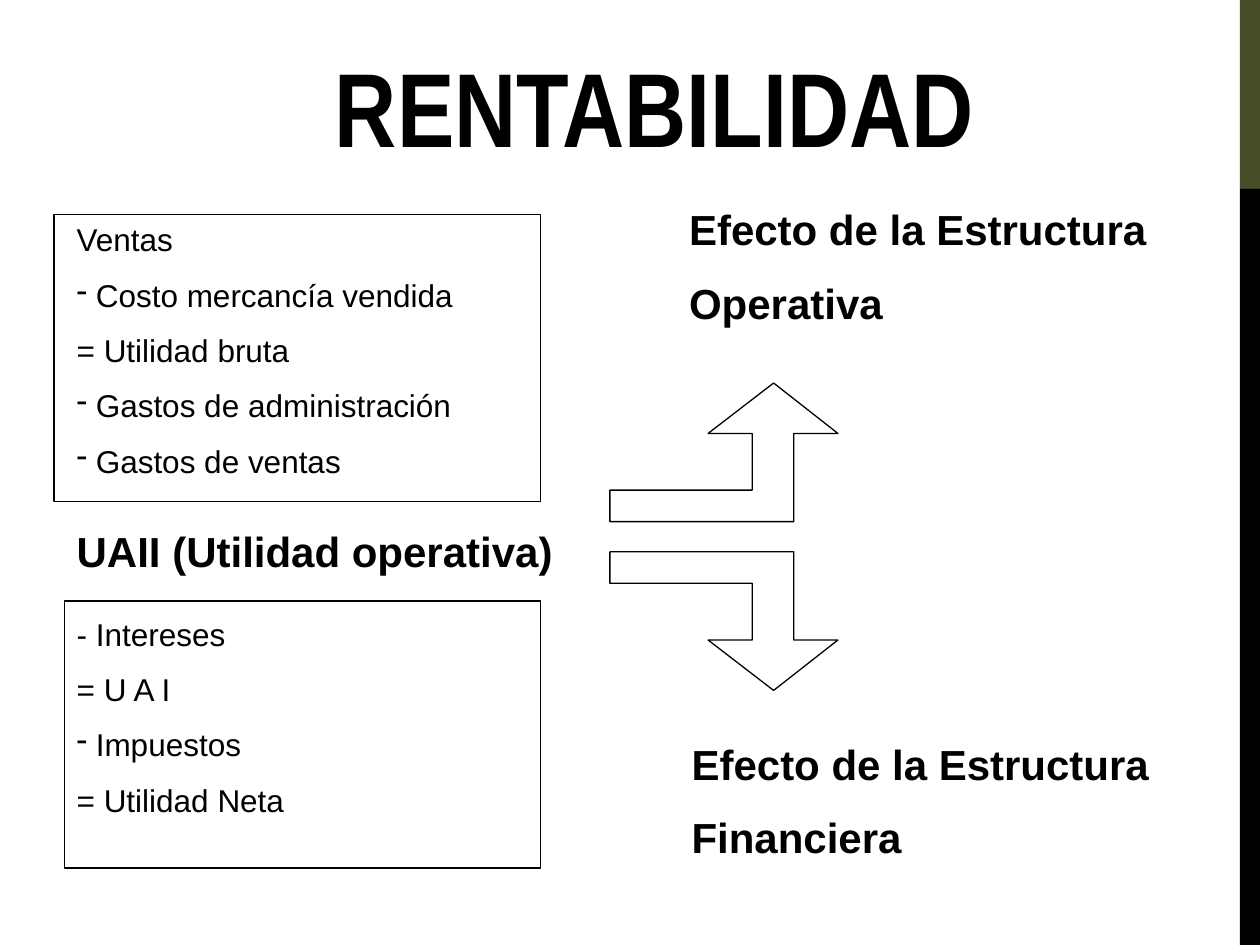
"""Build the profitability slide: income statement and its two structure effects."""
import pptx
import pptx.util
import pptx.dml.color
import pptx.enum.shapes
import pptx.enum.text
import pptx.oxml.ns
import lxml.etree

Inches, Pt = pptx.util.Inches, pptx.util.Pt
COLORS = {"ink": "000000", "paper": "FFFFFF", "olive": "444D26"}
BARS = [((9.84, 0, 0.16, 1.5), "olive"), ((9.84, 1.5, 0.16, 6), "ink")]
FRAMES = [(0.43, 1.7, 3.86, 2.28), (0.51, 4.77, 3.78, 2.12)]
BULLET = "• "
TEXTS = [
    ((0.51, 1.7, 3.39, 2.21),
     ["Ventas", BULLET + " Costo mercancía vendida", "= Utilidad bruta",
      BULLET + " Gastos de administración", BULLET + " Gastos de ventas"], {}),
    ((0.51, 4.12, 4.02, 0.5), ["UAII (Utilidad operativa)"], {"size": 24, "bold": True}),
    ((0.51, 4.83, 3.39, 1.76),
     ["- Intereses", "= U A I", BULLET + " Impuestos", "= Utilidad Neta"], {}),
    ((5.37, 1.57, 3.92, 1.1), ["Efecto de la Estructura", "Operativa"],
     {"size": 24, "bold": True, "wrap": False}),
    ((5.39, 5.81, 3.92, 1.1), ["Efecto de la Estructura", "Financiera"],
     {"size": 24, "bold": True, "wrap": False}),
    ((0.9, 0.21, 8.59, 1.25), ["RENTABILIDAD"],
     {"size": 60, "bold": True, "font": "Arial Narrow", "align": "CENTER", "anchor": "MIDDLE"}),
]
ARROW = [(6.14, 3.04), (5.62, 3.44), (5.97, 3.44), (5.97, 3.89), (4.84, 3.89),
         (4.84, 4.14), (6.3, 4.14), (6.3, 3.44), (6.65, 3.44)]
MIRROR = 4.26


def color(name):
    return pptx.dml.color.RGBColor.from_string(COLORS[name])


def paint(shape, fill=None, line=None):
    shape.shadow.inherit = False
    if fill:
        shape.fill.solid()
        shape.fill.fore_color.rgb = color(fill)
    else:
        shape.fill.background()
    if line:
        shape.line.color.rgb = color(line)
        shape.line.width = Pt(0.75)
    else:
        shape.line.fill.background()


def add_box(slide, place, **look):
    kind = pptx.enum.shapes.MSO_SHAPE.RECTANGLE
    paint(slide.shapes.add_shape(kind, *map(Inches, place)), **look)


def add_arrow(slide, points):
    points = [(Inches(x), Inches(y)) for x, y in points]
    path = slide.shapes.build_freeform(*points[0], scale=1.0)
    path.add_line_segments(points[1:], close=True)
    paint(path.convert_to_shape(), fill="paper", line="ink")


def add_text(slide, place, lines, size=18, bold=False, font="Arial",
             align="LEFT", anchor="TOP", wrap=True):
    frame = slide.shapes.add_textbox(*map(Inches, place)).text_frame
    frame.word_wrap = wrap
    frame.vertical_anchor = pptx.enum.text.MSO_ANCHOR[anchor]
    for i, line in enumerate(lines):
        para = frame.paragraphs[0] if i == 0 else frame.add_paragraph()
        para.alignment = pptx.enum.text.PP_ALIGN[align]
        if i:
            para.space_before = Pt(round(size * 0.55))
        if line.startswith(BULLET):
            props = para._p.get_or_add_pPr()
            props.set("marL", "0")
            props.set("indent", "0")
            mark = lxml.etree.SubElement(props, pptx.oxml.ns.qn("a:buChar"))
            mark.set("char", "-")
        run = para.add_run()
        run.text = line.removeprefix(BULLET)
        run.font.size, run.font.bold, run.font.name = Pt(size), bold, font
        run.font.color.rgb = color("ink")


def main():
    deck = pptx.Presentation()
    deck.slide_width, deck.slide_height = Inches(10), Inches(7.5)
    slide = deck.slides.add_slide(deck.slide_layouts[6])
    for place, fill in BARS:
        add_box(slide, place, fill=fill)
    for place in FRAMES:
        add_box(slide, place, line="ink")
    add_arrow(slide, ARROW)
    add_arrow(slide, [(x, 2 * MIRROR - y) for x, y in ARROW])
    for place, lines, look in TEXTS:
        add_text(slide, place, lines, **look)
    deck.save("out.pptx")


if __name__ == "__main__":
    main()
